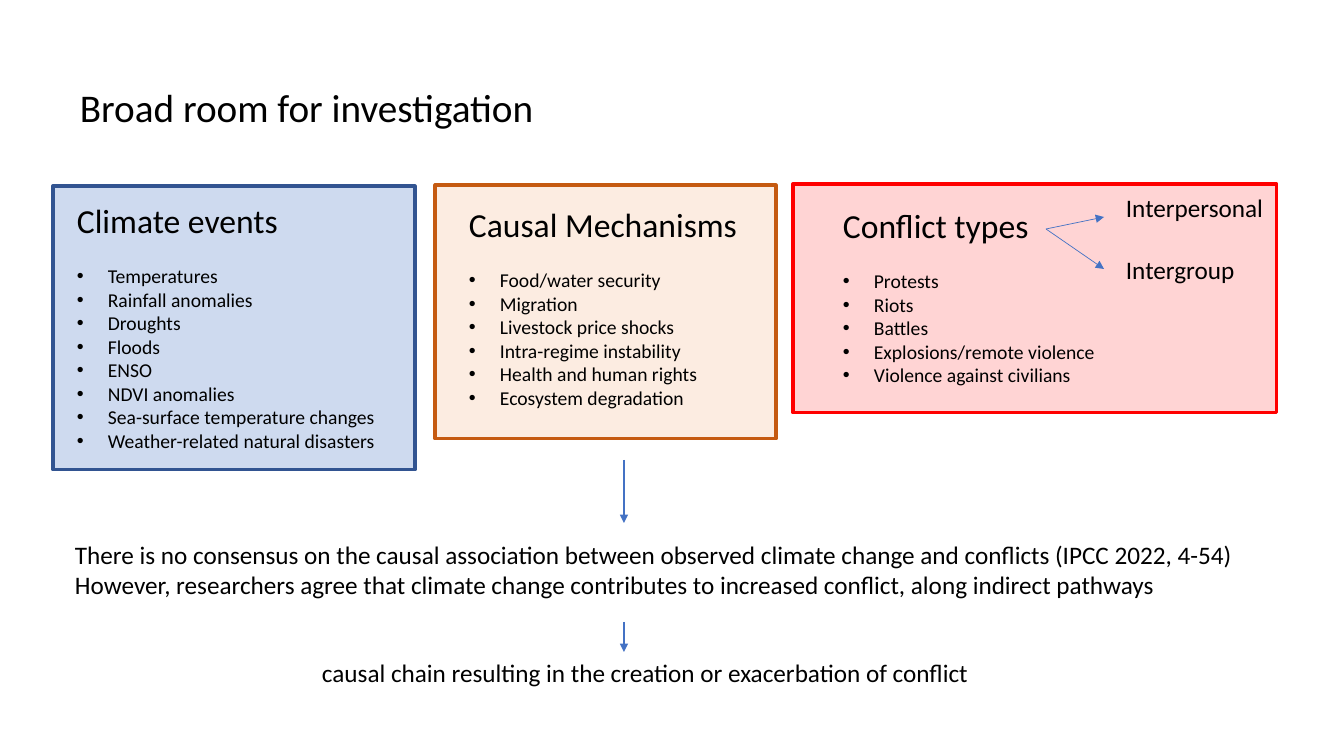
from lxml import etree
from pptx import Presentation, util as u
from pptx.dml.color import RGBColor
from pptx.enum import shapes, text
from pptx.oxml.ns import qn

PX = 914400 / 100.8
INDENT = 31
FONT = "Calibri"
BLACK = RGBColor(0x00, 0x00, 0x00)
BLUE = RGBColor(0x44, 0x72, 0xC4)
NAVY = RGBColor(0x32, 0x54, 0x91)
PEACH = RGBColor(0xF4, 0xB1, 0x83)
RUST = RGBColor(0xC5, 0x5A, 0x11)
RED = RGBColor(0xFF, 0x00, 0x00)

deck = Presentation()
deck.slide_width, deck.slide_height = u.Inches(13.333), u.Inches(7.5)
page = deck.slides.add_slide(deck.slide_layouts[6])


def px(*lengths):
    """Turn pixel lengths into EMU."""
    return [u.Emu(round(length * PX)) for length in lengths]


def add_text(place, lines, size, bullets=()):
    """Add plain lines, then 14 pt bullets set off by one empty line's height."""
    box = page.shapes.add_textbox(*px(*place))
    frame = box.text_frame
    frame.word_wrap = True
    frame.auto_size = text.MSO_AUTO_SIZE.SHAPE_TO_FIT_TEXT
    frame.text = "\n".join([*lines, *bullets])
    for number, para in enumerate(frame.paragraphs):
        is_bullet = number >= len(lines)
        if is_bullet:
            props = para._p.get_or_add_pPr()
            indent = px(INDENT)[0]
            props.set("marL", str(indent))
            props.set("indent", str(-indent))
            etree.SubElement(props, qn("a:buFont")).set("typeface", "Arial")
            etree.SubElement(props, qn("a:buChar")).set("char", "•")
        if number == len(lines):
            para.space_before = u.Pt(17)
        for span in para.runs:
            span.font.name = FONT
            span.font.size = u.Pt(14 if is_bullet else size)
            span.font.color.rgb = BLACK


# Panel place, fill, opacity in percent, border, text place, heading, bullets
panels = [
    ((793, 184, 484, 229), RED, 17, RED, (833, 200, 322, 194), "Conflict types",
     ["Protests", "Riots", "Battles", "Explosions/remote violence",
      "Violence against civilians"]),
    ((53, 186, 362, 284), BLUE, 26, NAVY, (67, 195, 344, 265), "Climate events",
     ["Temperatures", "Rainfall anomalies", "Droughts", "Floods", "ENSO",
      "NDVI anomalies", "Sea-surface temperature changes",
      "Weather-related natural disasters"]),
    ((435, 185, 341, 254), PEACH, 24, RUST, (459, 199, 318, 217), "Causal Mechanisms",
     ["Food/water security", "Migration", "Livestock price shocks",
      "Intra-regime instability", "Health and human rights",
      "Ecosystem degradation"]),
]
for place, fill, opacity, border, text_place, heading, bullets in panels:
    panel = page.shapes.add_shape(shapes.MSO_SHAPE.RECTANGLE, *px(*place))
    panel.shadow.inherit = False
    panel.fill.solid()
    panel.fill.fore_color.rgb = fill
    color = panel._element.spPr.find(qn("a:solidFill"))[0]
    etree.SubElement(color, qn("a:alpha")).set("val", str(opacity * 1000))
    panel.line.color.rgb = border
    panel.line.width = u.Pt(2.25)
    add_text(text_place, [heading], 24, bullets)

add_text((70, 78, 720, 82), ["Broad room for investigation"], 28)
for top, label in [(187, "Interpersonal"), (249, "Intergroup")]:
    add_text((1116, top, 159, 40), [label], 18)
add_text((65, 534, 1224, 72), [
    "There is no consensus on the causal association between observed climate change "
    "and conflicts (IPCC 2022, 4-54)",
    "However, researchers agree that climate change contributes to increased conflict, "
    "along indirect pathways",
], 18)
add_text((312, 652, 672, 40),
         ["causal chain resulting in the creation or exacerbation of conflict"], 18)

arrows = [
    ((1046, 229, 1104, 217), 0.5),
    ((1046, 229, 1104, 269), 0.5),
    ((624, 460, 624, 523), 1.5),
    ((624, 622, 624, 652), 1.5),
]
for ends, width in arrows:
    arrow = page.shapes.add_connector(shapes.MSO_CONNECTOR.STRAIGHT, *px(*ends))
    arrow.line.color.rgb = BLUE
    arrow.line.width = u.Pt(width)
    etree.SubElement(arrow.line._get_or_add_ln(), qn("a:tailEnd")).set("type", "triangle")
    etree.SubElement(arrow._element.spPr, qn("a:effectLst"))

deck.save("out.pptx")
